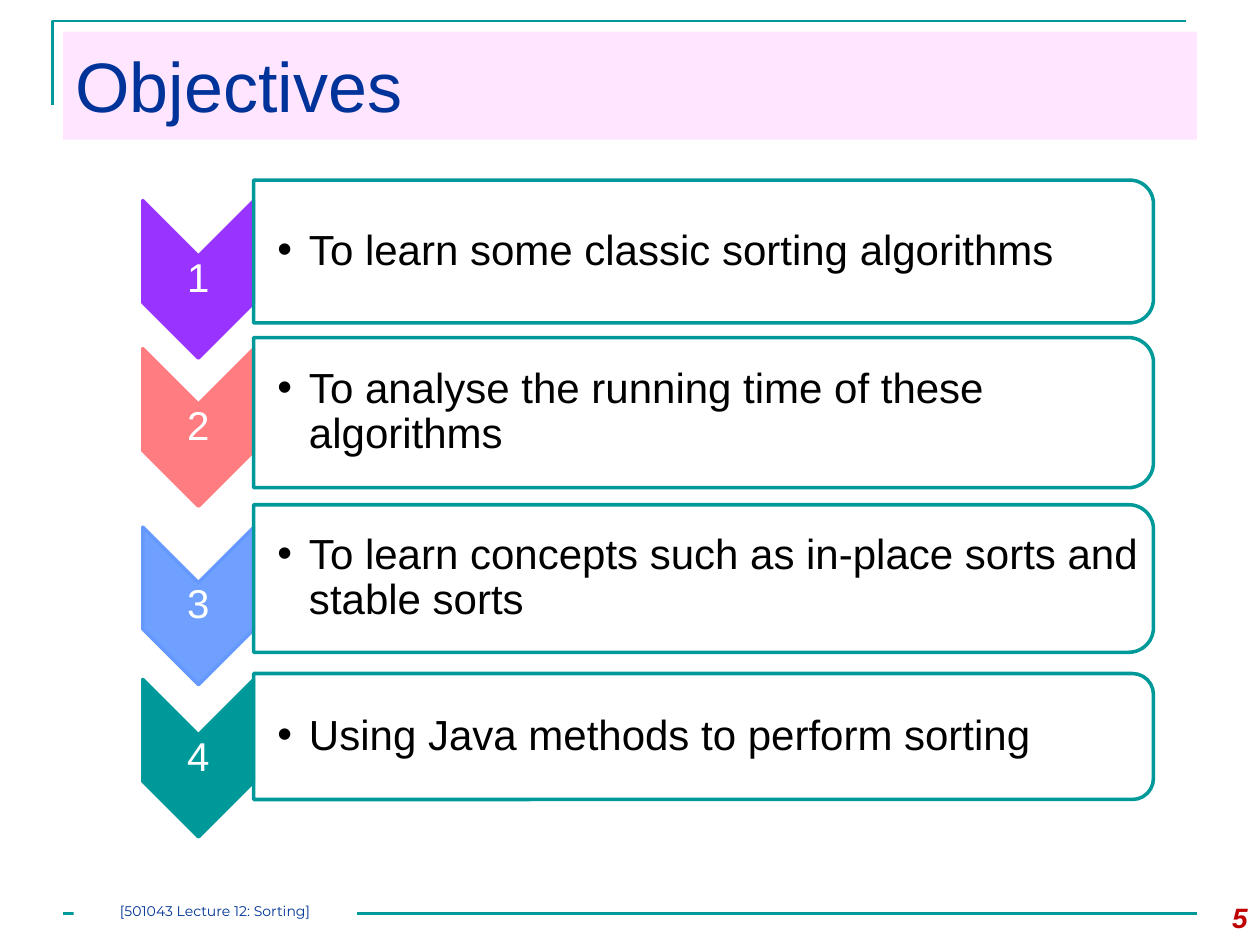
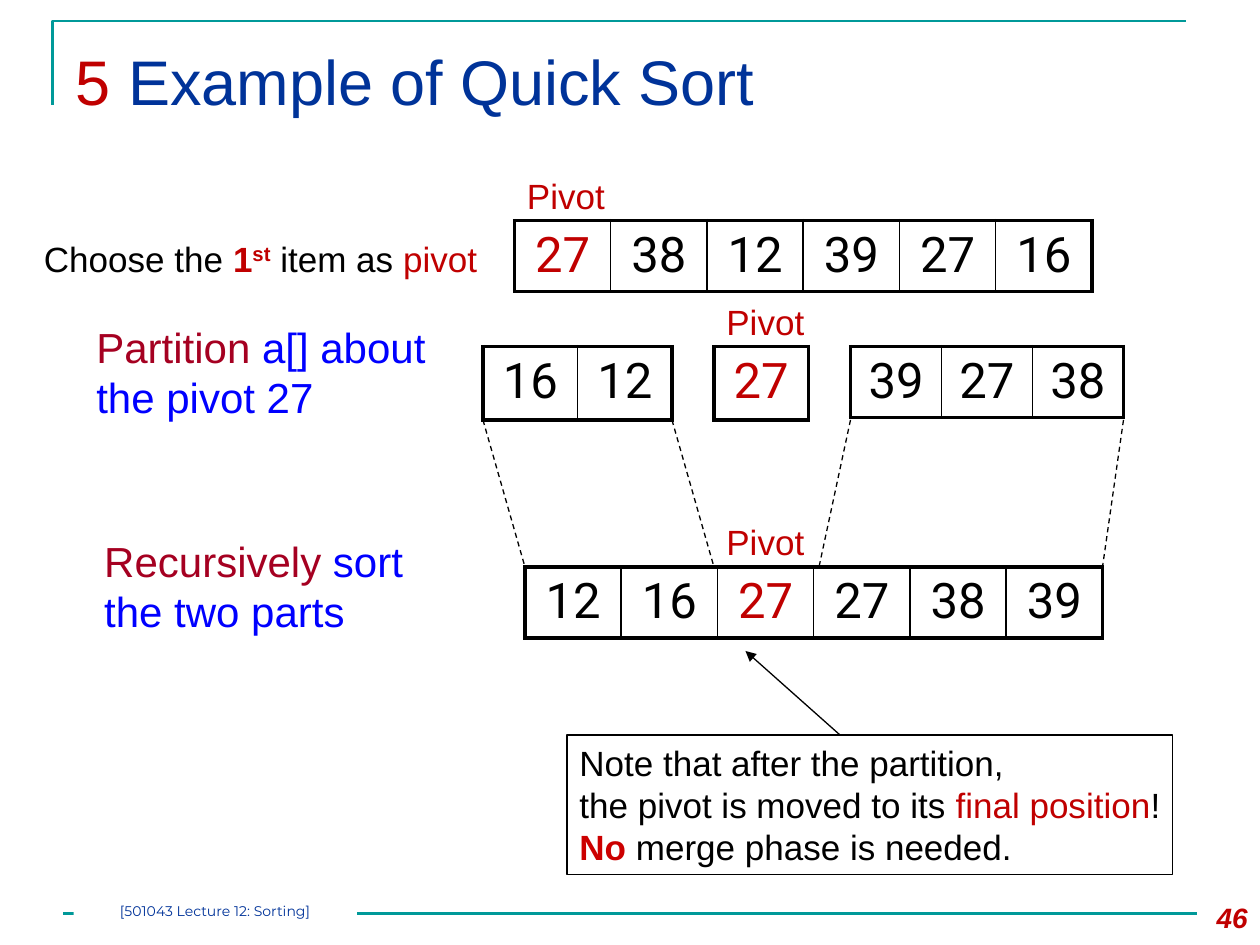
from lxml import etree
from pptx import Presentation
from pptx.dml.color import RGBColor
from pptx.enum.dml import MSO_LINE
from pptx.enum.shapes import MSO_CONNECTOR, MSO_SHAPE
from pptx.enum.text import MSO_ANCHOR, MSO_AUTO_SIZE, PP_ALIGN
from pptx.oxml.ns import qn
from pptx.util import Inches, Pt

RECT = MSO_SHAPE.RECTANGLE
CHEVRON = MSO_SHAPE.CHEVRON
CARD = MSO_SHAPE.ROUND_2_SAME_RECTANGLE
STRAIGHT = MSO_CONNECTOR.STRAIGHT
DASH = MSO_LINE.DASH
TOP, MIDDLE = MSO_ANCHOR.TOP, MSO_ANCHOR.MIDDLE
LEFT, CENTER, RIGHT = PP_ALIGN.LEFT, PP_ALIGN.CENTER, PP_ALIGN.RIGHT

BLACK = RGBColor(0x00, 0x00, 0x00)
WHITE = RGBColor(0xFF, 0xFF, 0xFF)
TEAL = RGBColor(0x00, 0x99, 0x99)
NAVY = RGBColor(0x00, 0x33, 0x99)
PINK = RGBColor(0xFF, 0x99, 0xFF)
RED = RGBColor(0xC0, 0x00, 0x00)
SCARLET = RGBColor(0xCC, 0x00, 0x00)
WINE = RGBColor(0xA5, 0x00, 0x21)
BLUE = RGBColor(0x00, 0x00, 0xFF)
PURPLE = RGBColor(0x99, 0x33, 0xFF)
CORAL = RGBColor(0xFF, 0x7C, 0x80)
SKY = RGBColor(0x70, 0xA0, 0xFF)
SKY_EDGE = RGBColor(0x66, 0x99, 0xFF)

COLS, ROWS = 120, 90
CELL = Inches(1) // 12
PAD = (0.1, 0.05, 0.1, 0.05)
FOOTER = "[501043 Lecture 12: Sorting]"


def grid(*cells):
    """Turn grid columns or rows into lengths."""
    return [round(cell * CELL) for cell in cells]


def add(parent, tag, **attrs):
    return etree.SubElement(parent, qn(tag), attrs)


class Deck:
    """Holds the style and the current slide; places are in grid cells."""

    def __init__(self):
        self.prs = Presentation()
        self.prs.slide_width, self.prs.slide_height = grid(COLS, ROWS)
        self.font = "Arial"
        self.slide = None

    @property
    def shapes(self):
        return self.slide.shapes

    def start(self, number, title, size, height, band=None):
        """Add a slide with its title, frame lines, footer and number."""
        self.slide = self.prs.slides.add_slide(self.prs.slide_layouts[5])
        head = self.shapes.title
        head.left, head.top, head.width, head.height = grid(6, 3, 108, height)
        if band:
            self.paint(head, band, alpha=25)
        self.label(head, [title], size, pad=(0.1, 0.09, 0.1, 0.05))
        self.corner()
        self.line((6, 87), (114, 87), TEAL, 1.5)
        self.text((112, 85.2, 8, 4.8), [[(number, RED, "bi")]], 16, align=RIGHT)
        foot = self.shape(RECT, (7, 86, 27, 2), WHITE)
        self.label(foot, [[(FOOTER, NAVY)]], 8, align=CENTER,
                   pad=(0, 0, 0, 0), font="Montserrat")

    def corner(self):
        route = self.shapes.build_freeform(*grid(5, 10))
        route.add_line_segments([grid(5, 2), grid(113, 2)], close=False)
        shape = route.convert_to_shape()
        self.paint(shape, None, TEAL, 1.5)
        shape.shadow.inherit = False

    def paint(self, shape, fill, edge=None, width=1, alpha=None):
        if fill is None:
            shape.fill.background()
        else:
            shape.fill.solid()
            shape.fill.fore_color.rgb = fill
        if alpha:
            tint = shape._element.spPr.find(qn("a:solidFill"))[0]
            add(tint, "a:alpha", val=str(alpha * 1000))
        if edge is None:
            shape.line.fill.background()
        else:
            shape.line.color.rgb = edge
            shape.line.width = Pt(width)

    def shape(self, kind, box, fill, edge=None, width=1, alpha=None):
        shape = self.shapes.add_shape(kind, *grid(*box))
        shape.shadow.inherit = False
        self.paint(shape, fill, edge, width, alpha)
        return shape

    def turned(self, kind, box, *look):
        """Add a shape turned a quarter right that ends up filling the box."""
        left, top, wide, high = box
        shift = (wide - high) / 2
        shape = self.shape(kind, (left + shift, top - shift, high, wide), *look)
        shape.rotation = 90

    def label(self, shape, paras, size, align=LEFT, anchor=TOP, pad=PAD,
              wrap=True, font=None, space=None):
        """Fill a frame; each run is (text, colour, marks b, i or ^)."""
        frame = shape.text_frame
        frame.auto_size = MSO_AUTO_SIZE.NONE
        frame.word_wrap = wrap
        frame.vertical_anchor = anchor
        (frame.margin_left, frame.margin_top,
         frame.margin_right, frame.margin_bottom) = map(Inches, pad)
        frame.text = "\n".join("" for _ in paras)
        for para, runs in zip(frame.paragraphs, paras):
            para.alignment = align
            if space:
                para.line_spacing = space
            for text, ink, *marks in runs:
                run = para.add_run()
                run.text = text
                self.style(run, size, ink, font, "".join(marks))
        return frame

    def style(self, run, size, ink, font=None, marks=""):
        run.font.name = font or self.font
        run.font.size = Pt(size)
        run.font.color.rgb = ink
        run.font.bold = "b" in marks
        run.font.italic = "i" in marks
        if "^" in marks:
            run.font._element.set("baseline", "30000")

    def text(self, box, paras, size, **look):
        return self.label(self.shapes.add_textbox(*grid(*box)), paras, size, **look)

    def line(self, tail, head, ink, width, dash=None, arrow=False):
        line = self.shapes.add_connector(STRAIGHT, *grid(*tail, *head))
        line.line.color.rgb = ink
        line.line.width = Pt(width)
        if dash:
            line.line.dash_style = dash
        if arrow:
            add(line._element.spPr.find(qn("a:ln")), "a:tailEnd", type="triangle")
        add(line._element.spPr, "a:effectLst")

    def array(self, box, items, pivot=None):
        """Add a one-row table with a heavy outline and thin inner lines."""
        table = self.shapes.add_table(1, len(items), *grid(*box)).table
        table.first_row = table.horz_banding = False
        last = len(items) - 1
        for index, item in enumerate(items):
            table.columns[index].width = round(box[2] * CELL / len(items))
            cell = table.cell(0, index)
            cell.text = str(item)
            para = cell.text_frame.paragraphs[0]
            para.alignment = CENTER
            self.style(para.runs[0], 28, RED if index == pivot else BLACK, "Roboto")
            heavy = {"L": index == 0, "R": index == last, "T": True, "B": True}
            self.border(cell, heavy)
            cell.fill.background()

    def border(self, cell, heavy):
        props = cell._tc.get_or_add_tcPr()
        for side, thick in heavy.items():
            edge = add(props, "a:ln" + side, w=str(Pt(2.25 if thick else 1)))
            add(add(edge, "a:solidFill"), "a:srgbClr", val=str(BLACK))

    def goal(self, number, text, fill, edge, tip, mid, high):
        """Add a numbered chevron centred on row tip and a card on row mid."""
        tight = (0.02,) * 4
        self.turned(CHEVRON, (13.6, tip - 7.5, 10.6, 15), fill, edge, 2)
        self.text((13.6, tip - 2.25, 10.6, 4.5), [[(str(number), WHITE)]], 23,
                  align=CENTER, anchor=MIDDLE, pad=tight, space=0.9)
        self.turned(CARD, (24.15, mid - high / 2, 85.7, high), WHITE, TEAL, 2, 90)
        frame = self.text((24.15, mid - 6, 85, 12), [[(text, BLACK)]], 24,
                          anchor=MIDDLE, pad=(0.19, *tight[1:]), space=0.9)
        props = frame.paragraphs[0]._p.get_or_add_pPr()
        props.set("marL", str(Inches(0.25)))
        props.set("indent", str(-Inches(0.25)))
        add(props, "a:buFont", typeface=self.font)
        add(props, "a:buChar", char="•")


def goals(deck):
    deck.start("5", [("Objectives", NAVY)], 40, 10.3, PINK)
    rows = [
        ("To learn some classic sorting algorithms",
         PURPLE, PURPLE, 26.6, 23.95, 13.6),
        ("To analyse the running time of these algorithms",
         CORAL, CORAL, 40.7, 39.3, 14.3),
        ("To learn concepts such as in-place sorts and stable sorts",
         SKY, SKY_EDGE, 57.7, 55.1, 14.05),
        ("Using Java methods to perform sorting",
         TEAL, TEAL, 72.2, 70.15, 12),
    ]
    for number, row in enumerate(rows, 1):
        deck.goal(number, *row)


def quick(deck):
    deck.start("46", [("5 ", RED), ("Example of Quick Sort", NAVY)], 36, 12)

    deck.array((49, 21, 55, 6.75), [27, 38, 12, 39, 27, 16], pivot=0)
    deck.array((46, 33, 18, 7), [16, 12])
    deck.array((68, 33, 9, 7), [27], pivot=0)
    deck.array((81, 33, 26, 6.75), [39, 27, 38])
    deck.array((50, 54, 55, 6.75), [12, 16, 27, 27, 38, 39], pivot=2)
    for left, top in ((49, 16), (68, 28), (68, 49)):
        deck.text((left, top, 10, 5.25), [[("Pivot", RED)]], 20, wrap=False)

    choose = [("Choose the ", BLACK), ("1", RED, "b"), ("st", RED, "b^"),
              (" item as ", BLACK), ("pivot", RED)]
    deck.text((3, 22, 44.3, 5.25), [choose], 20, wrap=False)
    for left, top, verb, rest in (
            (8, 30, "Partition", " a[] about the pivot 27"),
            (8.75, 50.4, "Recursively", " sort the two parts")):
        deck.text((left, top, 37, 10.8), [[(verb, WINE), (rest, BLUE)]], 24)

    for above, below in ((46, 50), (64, 68), (81, 78), (107, 105)):
        deck.line((above, 40), (below, 54), BLACK, 0.75, DASH)

    note = deck.shape(RECT, (54, 70, 57.7, 13.3), None, BLACK, 0.75)
    deck.label(note, [
        [("Note that after the partition,", BLACK)],
        [("the pivot is moved to its ", BLACK), ("final position", RED), ("!", BLACK)],
        [("No", SCARLET, "b"), (" merge phase is needed.", BLACK)],
    ], 20, wrap=False)
    deck.line((80, 70), (71, 62), BLACK, 0.75, arrow=True)


def main():
    deck = Deck()
    goals(deck)
    quick(deck)
    deck.prs.save("out.pptx")


if __name__ == "__main__":
    main()
